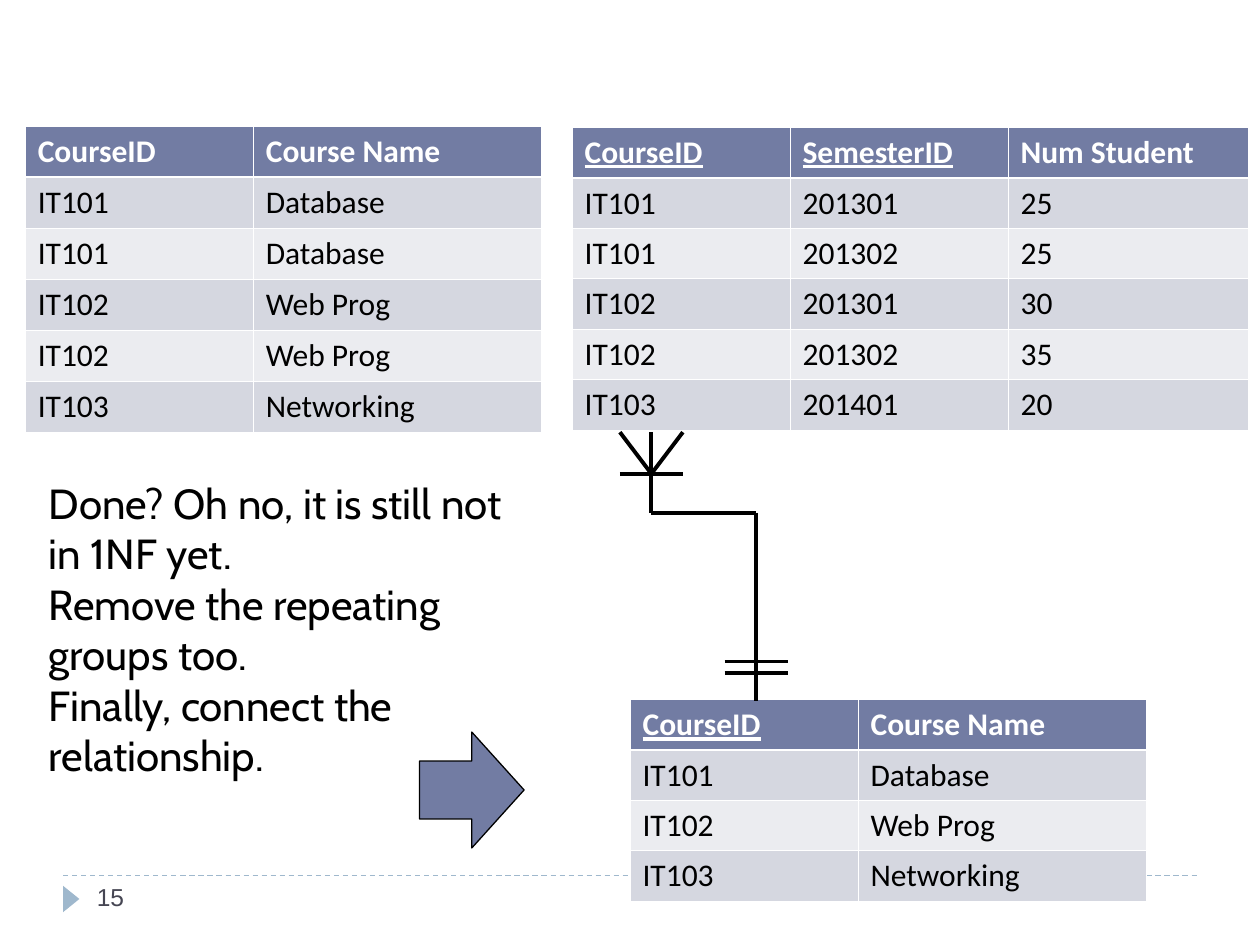
from lxml.etree import SubElement
from pptx import Presentation
from pptx.dml.color import RGBColor
from pptx.enum.dml import MSO_LINE
from pptx.enum.shapes import MSO_CONNECTOR, MSO_SHAPE
from pptx.oxml.ns import qn
from pptx.util import Inches, Pt

BLACK, WHITE, BLUE, PALE = "000000", "FFFFFF", "727CA3", "9FB8CD"
BANDS = ["D5D7E0", "EBECF0"]
ROW = 0.4


def paint(target, color):
    if hasattr(target, "solid"):
        target.solid()
        target.fore_color.rgb = RGBColor.from_string(color)
    else:
        target.rgb = RGBColor.from_string(color)


def style(para, face, size, color):
    for run in para.runs:
        run.font.name = face
        run.font.size = Pt(size)
        paint(run.font.color, color)


def add_text(slide, box, text, face, size, color):
    frame = slide.shapes.add_textbox(*map(Inches, box)).text_frame
    frame.word_wrap = True
    frame.text = text
    for para in frame.paragraphs:
        style(para, face, size, color)


def add_line(slide, start, end, color=BLACK, width=2.25):
    line = slide.shapes.add_connector(
        MSO_CONNECTOR.STRAIGHT, *map(Inches, start + end))
    paint(line.line.fill, color)
    line.line.width = Pt(width)
    SubElement(line._element.spPr, qn("a:effectLst"))
    return line


def add_shape(slide, kind, box, color):
    shape = slide.shapes.add_shape(kind, *map(Inches, box))
    shape.shadow.inherit = False
    paint(shape.fill, color)
    return shape


def set_edges(cell, top, bottom):
    props = cell._tc.get_or_add_tcPr()
    edges = [("lnL", 0.45), ("lnR", 0.45), ("lnT", top), ("lnB", bottom)]
    for spot, (tag, width) in enumerate(edges):
        edge = props.makeelement(qn("a:" + tag), {"w": str(Pt(width))})
        fill = SubElement(edge, qn("a:solidFill"))
        SubElement(fill, qn("a:srgbClr"), val=WHITE)
        props.insert(spot, edge)


def add_grid(slide, left, top, widths, rows, keys=()):
    grid = slide.shapes.add_table(
        len(rows), len(widths), Inches(left), Inches(top),
        Inches(sum(widths)), Inches(ROW * len(rows))).table
    for col, width in zip(grid.columns, widths):
        col.width = Inches(width)
    for r, row in enumerate(rows):
        grid.rows[r].height = Inches(ROW)
        for c, text in enumerate(row):
            cell = grid.cell(r, c)
            cell.text = text
            para = cell.text_frame.paragraphs[0]
            style(para, "Calibri", 18, BLACK if r else WHITE)
            font = para.runs[0].font
            font.bold = r == 0
            font.underline = r == 0 and text in keys
            paint(cell.fill, BANDS[(r - 1) % 2] if r else BLUE)
            set_edges(cell, 1.47 if r == 1 else 0.45, 0.45 if r else 1.47)


def add_link(slide):
    many, one, half = 5.17, 6, 0.25
    top, bar, bend, base = 3.43, 3.76, 4.07, 5.56
    add_line(slide, (many, top), (many, bend))
    add_line(slide, (many, bend), (one, bend))
    add_line(slide, (one, bend), (one, base))
    for side in (half, -half):
        add_line(slide, (many, bar), (many + side, top))
    for mid, y in ((many, bar), (one, 5.25), (one, 5.34)):
        add_line(slide, (mid - half, y), (mid + half, y))


def main():
    deck = Presentation()
    deck.slide_width, deck.slide_height = Inches(10), Inches(7.5)
    slide = deck.slides.add_slide(deck.slide_layouts[6])

    rule = add_line(slide, (0.5, 6.95), (9.5, 6.95), PALE, 0.75)
    rule.line.dash_style = MSO_LINE.DASH
    mark = add_shape(slide, MSO_SHAPE.ISOSCELES_TRIANGLE,
                     (0.46, 7.07, 0.21, 0.13), PALE)
    mark.rotation = 90
    mark.line.fill.background()

    head = ["CourseID", "Course Name"]
    data = ["IT101", "Database"]
    web = ["IT102", "Web Prog"]
    net = ["IT103", "Networking"]
    pair = [1.81, 2.29]
    add_grid(slide, 0.2, 1, pair, [head, data, data, web, web, net])
    add_text(slide, (0.29, 3.74, 3.79, 2.5),
             "Done? Oh no, it is still not in 1NF yet. \v"
             "Remove the repeating \vgroups too.\n"
             "Finally, connect the relationship.", "Cabin", 24, BLACK)
    add_grid(slide, 5, 5.55, pair, [head, data, web, net], ["CourseID"])

    arrow = add_shape(slide, MSO_SHAPE.RIGHT_ARROW,
                      (3.33, 5.81, 0.83, 0.92), BLUE)
    paint(arrow.line.fill, BLACK)
    arrow.line.width = Pt(0.75)

    terms = [
        ["CourseID", "SemesterID", "Num Student"],
        ["IT101", "201301", "25"],
        ["IT101", "201302", "25"],
        ["IT102", "201301", "30"],
        ["IT102", "201302", "35"],
        ["IT103", "201401", "20"],
    ]
    add_grid(slide, 4.54, 1.01, [1.73, 1.73, 1.91], terms,
             ["CourseID", "SemesterID"])
    add_link(slide)
    add_text(slide, (0.67, 6.95, 2.17, 0.4), "15", "Arial", 14, "464653")
    deck.save("out.pptx")


if __name__ == "__main__":
    main()
